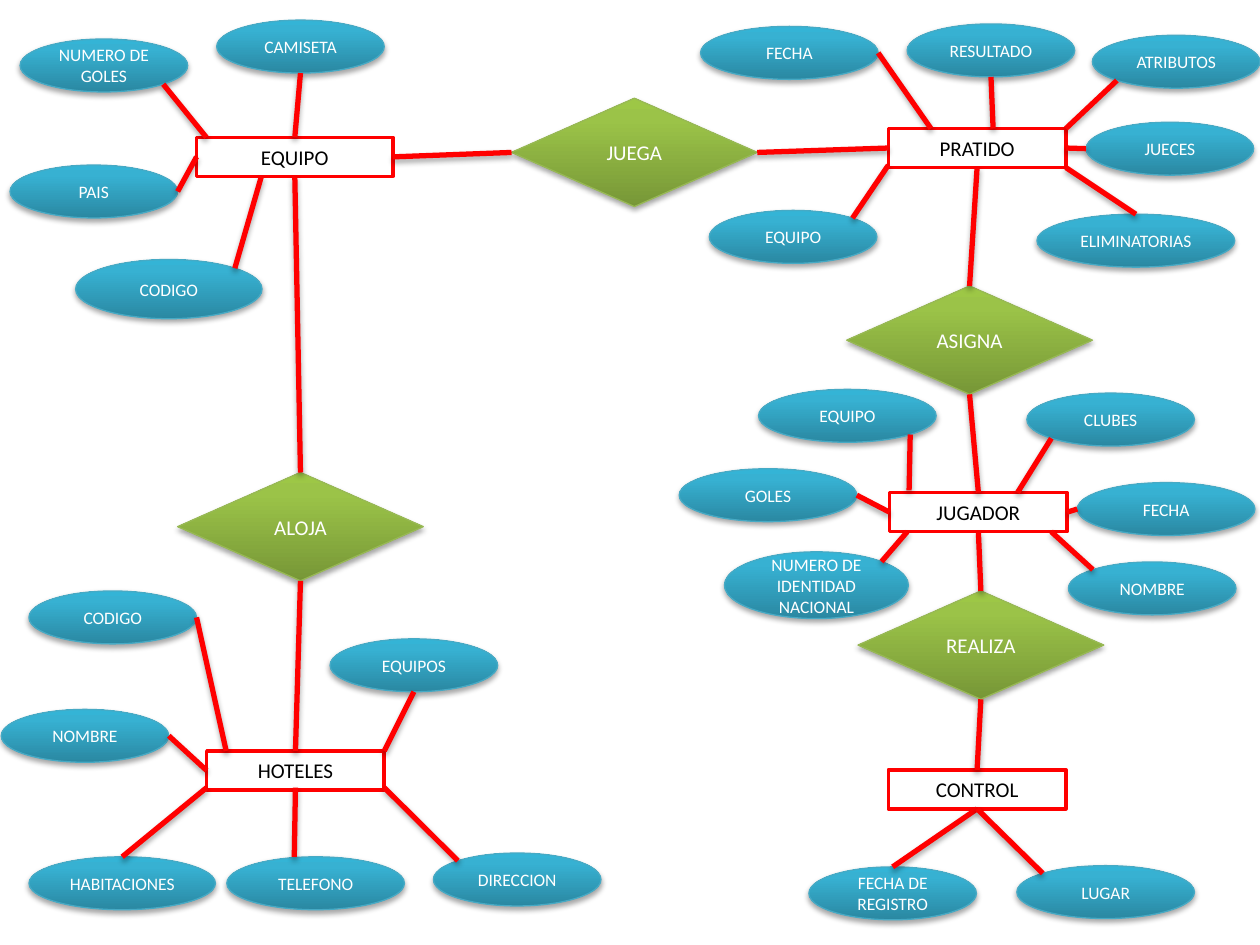
from copy import deepcopy

from lxml import etree
from pptx import Presentation
from pptx.dml.color import RGBColor
from pptx.enum.shapes import MSO_CONNECTOR, MSO_SHAPE
from pptx.enum.text import MSO_ANCHOR, PP_ALIGN
from pptx.oxml.ns import qn
from pptx.util import Inches, Pt

RED = "FF0000"
GREEN = [(0, "779737"), (0.8, "9BC348"), (1, "9DC746")]
BLUE = [(0, "2A88A2"), (0.8, "37B1D2"), (1, "34B4D6")]

# Anchor points as fractions of a box; diagonal ones lie on the ellipse
LOW, HIGH = 0.146, 0.854
TOP, BOTTOM, LEFT, RIGHT = (0.5, 0), (0.5, 1), (0, 0.5), (1, 0.5)
TL, TR, BL, BR = (LOW, LOW), (HIGH, LOW), (LOW, HIGH), (HIGH, HIGH)

W, H = 1.33, 0.42  # usual attribute size

# Entity: box, then attributes as (text, box, attribute anchor, entity anchor)
ENTITIES = {
    "EQUIPO": ((1.56, 1.09, 1.56, 0.31), [
        ("NUMERO DE GOLES", (0.16, 0.31, W, H), BR, (0.05, 0)),
        ("CAMISETA", (1.72, 0.16, W, H), BOTTOM, TOP),
        ("PAIS", (0.08, 1.31, W, H), RIGHT, LEFT),
        ("CODIGO", (0.6, 2.06, 1.48, 0.47), TR, (0.33, 1)),
    ]),
    "HOTELES": ((1.64, 5.96, 1.41, 0.31), [
        ("EQUIPOS", (2.62, 5.07, W, H), BOTTOM, (1, 0)),
        ("NOMBRE", (0.01, 5.63, W, H), RIGHT, LEFT),
        ("CODIGO", (0.23, 4.69, W, H), RIGHT, (0.11, 0)),
        ("HABITACIONES", (0.23, 6.8, 1.48, H), TOP, (0, 0.94)),
        ("TELEFONO", (1.8, 6.8, 1.41, H), (0.38, 0), (0.5, 0.94)),
        ("DIRECCION", (3.44, 6.77, W, H), TL, (1, 0.94)),
    ]),
    "PRATIDO": ((7.05, 1.02, 1.41, 0.31), [
        ("FECHA", (5.56, 0.21, 1.41, H), RIGHT, (0.24, 0)),
        ("RESULTADO", (7.2, 0.19, W, H), BOTTOM, (0.59, 0)),
        ("ATRIBUTOS", (8.67, 0.28, W, H), BL, (1, 0)),
        ("JUECES", (8.62, 0.97, W, H), LEFT, RIGHT),
        ("ELIMINATORIAS", (8.23, 1.7, 1.57, H), TOP, (1, 1)),
        ("EQUIPO", (5.63, 1.67, W, H), TR, (0, 0.94)),
    ]),
    "JUGADOR": ((7.06, 3.91, 1.41, 0.31), [
        ("EQUIPO", (6.02, 3.09, 1.41, H), BR, (0.11, -0.06)),
        ("CLUBES", (8.15, 3.12, W, H), BL, (0.72, 0)),
        ("GOLES", (5.39, 3.72, 1.41, H), RIGHT, LEFT),
        ("FECHA", (8.55, 3.83, 1.41, H), LEFT, RIGHT),
        ("NUMERO DE IDENTIDAD NACIONAL", (5.75, 4.38, 1.46, 0.53), TR, (0.1, 1)),
        ("NOMBRE", (8.48, 4.46, W, H), TL, (0.91, 1)),
    ]),
    "CONTROL": ((7.05, 6.11, 1.41, 0.31), [
        ("FECHA DE REGISTRO", (6.42, 6.88, W, H), TOP, BOTTOM),
        ("LUGAR", (8.07, 6.87, 1.41, H), TL, BOTTOM),
    ]),
}

# Relation: name, left, top, links as (diamond anchor, entity, entity anchor)
RELATIONS = [
    ("JUEGA", 4.06, 0.78, [(LEFT, "EQUIPO", RIGHT), (RIGHT, "PRATIDO", LEFT)]),
    ("ASIGNA", 6.72, 2.27, [(TOP, "PRATIDO", BOTTOM), (BOTTOM, "JUGADOR", TOP)]),
    ("ALOJA", 1.41, 3.75, [(TOP, "EQUIPO", BOTTOM), (BOTTOM, "HOTELES", TOP)]),
    ("REALIZA", 6.81, 4.69, [(TOP, "JUGADOR", BOTTOM), (BOTTOM, "CONTROL", TOP)]),
]


def color(value):
    return RGBColor.from_string(value)


def add_shadow(spPr):
    effects = etree.SubElement(spPr, qn("a:effectLst"))
    shadow = etree.SubElement(effects, qn("a:outerShdw"), blurRad="40000",
                              dist="23000", dir="5400000", rotWithShape="0")
    black = etree.SubElement(shadow, qn("a:srgbClr"), val="000000")
    etree.SubElement(black, qn("a:alpha"), val="35000")


def set_gradient(sp, stops):
    fill = sp.fill
    fill.gradient()
    fill.gradient_angle = 90
    stop_list = sp._element.spPr.find(".//" + qn("a:gsLst"))
    stop_list.append(deepcopy(stop_list[0]))
    for stop, (position, value) in zip(fill.gradient_stops, stops):
        stop.position = position
        stop.color.rgb = color(value)


def add_node(s, kind, box, text, *, line, width=0.75, stops=None,
             size=12, font_color="FFFFFF"):
    sp = s.shapes.add_shape(kind, *map(Inches, box))
    sp.line.color.rgb = color(line)
    sp.line.width = Pt(width)
    if stops:
        set_gradient(sp, stops)
        add_shadow(sp._element.spPr)
    else:
        sp.fill.background()
        sp.shadow.inherit = False
    tf = sp.text_frame
    tf.word_wrap = True
    tf.vertical_anchor = MSO_ANCHOR.MIDDLE
    p = tf.paragraphs[0]
    p.alignment = PP_ALIGN.CENTER
    r = p.add_run()
    r.text = text
    r.font.name = "Calibri"
    r.font.size = Pt(size)
    r.font.color.rgb = color(font_color)


def point(box, anchor):
    x, y, w, h = box
    return Inches(x + w * anchor[0]), Inches(y + h * anchor[1])


def add_link(s, start, end):
    link = s.shapes.add_connector(MSO_CONNECTOR.STRAIGHT, *start, *end)
    link.line.color.rgb = color(RED)
    link.line.width = Pt(3)
    add_shadow(link._element.spPr)


def add_entity(s, name, box, attributes):
    add_node(s, MSO_SHAPE.RECTANGLE, box, name, line=RED, width=2,
             font_color="000000")
    for text, oval, oval_anchor, anchor in attributes:
        add_node(s, MSO_SHAPE.OVAL, oval, text, line="46AAC5", stops=BLUE, size=10)
        add_link(s, point(box, anchor), point(oval, oval_anchor))


def add_relation(s, name, box, links):
    add_node(s, MSO_SHAPE.DIAMOND, box, name, line="98B955", stops=GREEN)
    for anchor, entity, entity_anchor in links:
        add_link(s, point(box, anchor), point(ENTITIES[entity][0], entity_anchor))


def main():
    prs = Presentation()
    prs.slide_width, prs.slide_height = Inches(10), Inches(7.5)
    s = prs.slides.add_slide(prs.slide_layouts[6])
    # Entities with their attributes
    for name, (box, attributes) in ENTITIES.items():
        add_entity(s, name, box, attributes)
    # Relations between entities
    for name, x, y, links in RELATIONS:
        add_relation(s, name, (x, y, 1.95, 0.86), links)
    prs.save("out.pptx")


if __name__ == "__main__":
    main()
